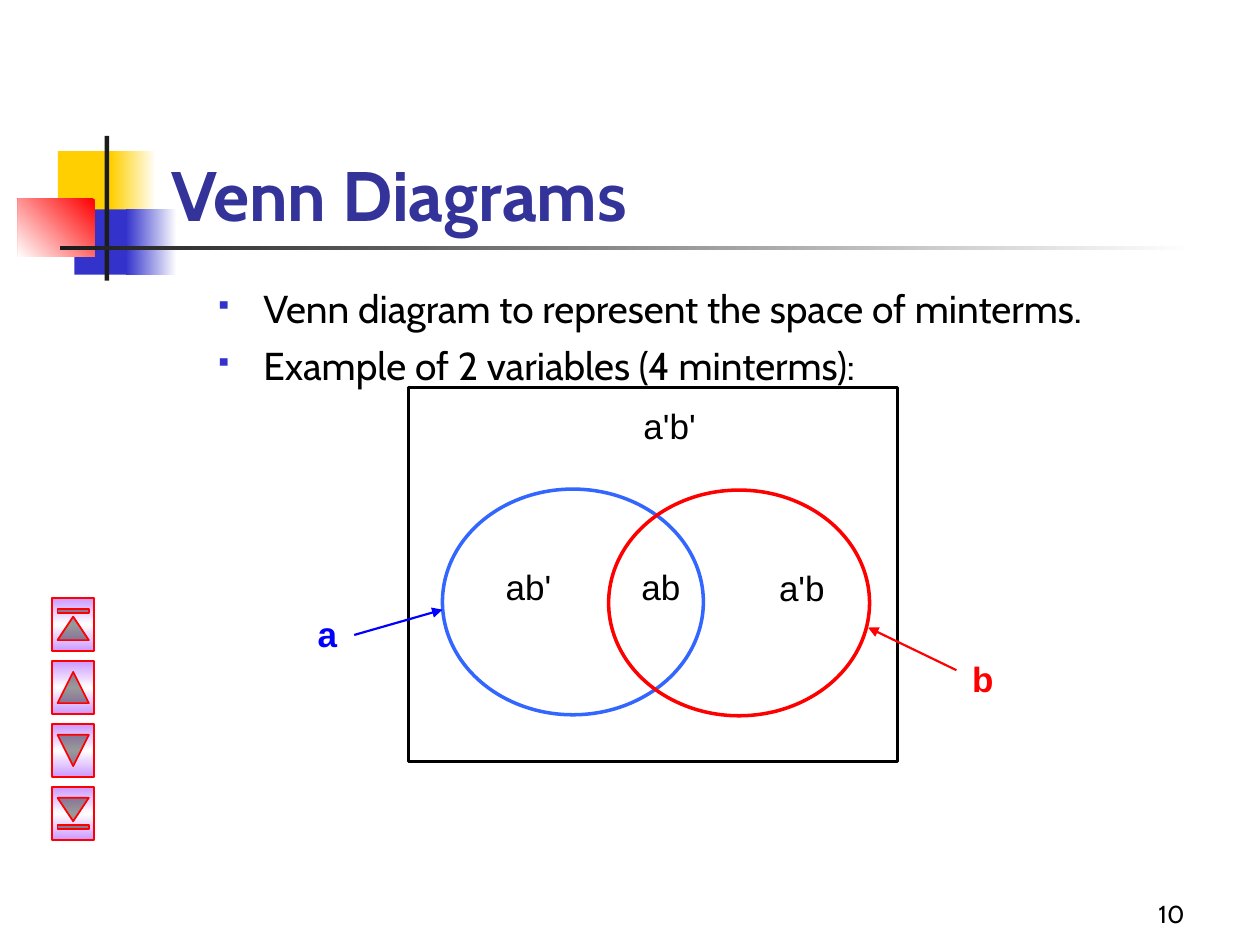
import pptx
import pptx.util
import pptx.dml.color
import pptx.enum.shapes
import pptx.enum.text
import pptx.oxml
import pptx.oxml.ns
from lxml import etree

Cm = pptx.util.Cm
Pt = pptx.util.Pt
RGB = pptx.dml.color.RGBColor
Kind = pptx.enum.shapes.MSO_SHAPE
Anchor = pptx.enum.text.MSO_ANCHOR
Align = pptx.enum.text.PP_ALIGN
qn = pptx.oxml.ns.qn

WHITE = RGB(0xFF, 0xFF, 0xFF)
BLACK = RGB(0, 0, 0)
INK = RGB(0x1C, 0x1C, 0x1C)
GOLD = RGB(0xFF, 0xCF, 0x01)
NAVY = RGB(0x33, 0x33, 0x99)
INDIGO = RGB(0x33, 0x33, 0xCC)
SKY = RGB(0x33, 0x66, 0xFF)
BLUE = RGB(0, 0, 0xFF)
RED = RGB(0xFF, 0, 0)
LILAC = RGB(0xCC, 0x99, 0xFF)


def place(box, left, top, width, height):
    return Cm(box[0] + left), Cm(box[1] + top), Cm(width), Cm(height)


def shade(shape, tints, angle):
    shape.fill.gradient()
    grad = shape.fill._xPr.find(qn("a:gradFill"))
    grad.set("rotWithShape", "0")
    for child in list(grad):
        grad.remove(child)
    stops = etree.SubElement(grad, qn("a:gsLst"))
    for i, tint in enumerate(tints):
        spot = 100000 * i // (len(tints) - 1)
        stop = etree.SubElement(stops, qn("a:gs"), pos=str(spot))
        etree.SubElement(stop, qn("a:srgbClr"), val=str(tint))
    etree.SubElement(grad, qn("a:lin"), ang=str(angle * 60000), scaled="0")


def draw(slide, kind, spot, fill=None, angle=0, line=None, weight=1):
    shape = slide.shapes.add_shape(kind, *spot)
    shape.shadow.inherit = False
    if fill is None:
        shape.fill.background()
    elif isinstance(fill, list):
        shade(shape, fill, angle)
    else:
        shape.fill.solid()
        shape.fill.fore_color.rgb = fill
    if line is None:
        shape.line.fill.background()
    else:
        shape.line.color.rgb = line
        shape.line.width = Pt(weight)
    return shape


def write(par, text, size, font, color, bold=False):
    run = par.add_run()
    run.text = text
    run.font.size = Pt(size)
    run.font.name = font
    run.font.bold = bold
    run.font.color.rgb = color


def frame(slide, spot, anchor=Anchor.TOP):
    body = slide.shapes.add_textbox(*spot).text_frame
    body.word_wrap = True
    body.vertical_anchor = anchor
    return body


def add_motif(slide, box):
    for spot, fill, angle in [
        ((0.81, 0.31, 1.22, 1.32), GOLD, 0),
        ((1.88, 0.31, 0.91, 1.32), [WHITE, GOLD], 180),
        ((1.14, 1.48, 1.17, 1.32), INDIGO, 0),
        ((2.18, 1.48, 1.02, 1.32), [WHITE, INDIGO], 180),
        ((0, 1.27, 1.55, 1.17), [RED, WHITE], 135),
        ((1.75, 0, 0.09, 2.92), INK, 0),
        ((0.86, 2.21, 22.86, 0.09), [WHITE, INK], 180),
    ]:
        draw(slide, Kind.RECTANGLE, place(box, *spot), fill, angle)


def add_title(slide, box):
    body = frame(slide, place(box, 0, 0, 21.64, 3.18), Anchor.BOTTOM)
    write(body.paragraphs[0], "Venn Diagrams", 40, "Cabin", NAVY, True)


def add_points(slide, box):
    body = frame(slide, place(box, 0, 0, 20.8, 2.74))
    for i, text in enumerate([
        "Venn diagram to represent the space of minterms.",
        "Example of 2 variables (4 minterms):",
    ]):
        par = body.add_paragraph() if i else body.paragraphs[0]
        props = par._p.get_or_add_pPr()
        props.set("marL", str(Cm(0.97)))
        props.set("indent", str(-Cm(0.97)))
        tint = etree.SubElement(props, qn("a:buClr"))
        etree.SubElement(tint, qn("a:srgbClr"), val=str(INDIGO))
        etree.SubElement(props, qn("a:buSzPct"), val="60000")
        etree.SubElement(props, qn("a:buChar"), char="▪")
        par.space_before = Pt(6 if i else 0)
        write(par, text, 22.2, "Cabin", BLACK)


def add_arrow(slide, box, start, end, color):
    points = [Cm(box[i] + point[i]) for point in (start, end) for i in (0, 1)]
    arrow = slide.shapes.add_connector(
        pptx.enum.shapes.MSO_CONNECTOR.STRAIGHT, *points)
    arrow.line.color.rgb = color
    arrow.line.width = Pt(1.25)
    etree.SubElement(arrow.line._get_or_add_ln(), qn("a:tailEnd"), type="triangle")
    etree.SubElement(arrow._element.spPr, qn("a:effectLst"))


def add_venn(slide, box):
    draw(slide, Kind.RECTANGLE, place(box, 0, 0, 9.86, 7.54), line=BLACK, weight=1.75)
    for left, top, color in [(0.69, 2.04, SKY), (4.04, 2.06, RED)]:
        draw(slide, Kind.OVAL, place(box, left, top, 5.26, 4.55), line=color, weight=2)
    for text, left, top, width, color in [
        ("ab'", 1.32, 3.46, 2.21, BLACK),
        ("a'b", 6.83, 3.48, 2.21, BLACK),
        ("a'b'", 3.91, 0.21, 2.72, BLACK),
        ("ab", 3.99, 3.46, 2.21, BLACK),
        ("a", -2.52, 4.4, 1.78, BLUE),
        ("b", 10.62, 5.31, 1.93, RED),
    ]:
        par = frame(slide, place(box, left, top, width, 1.8)).paragraphs[0]
        par.alignment = Align.CENTER
        write(par, text, 20, "Arial", color, color != BLACK)
    add_arrow(slide, box, (-1.09, 4.98), (0.69, 4.47), BLUE)
    add_arrow(slide, box, (11.05, 5.69), (9.27, 4.83), RED)


def add_keys(slide, box):
    for i, kind in enumerate([
        Kind.ACTION_BUTTON_BEGINNING,
        Kind.ACTION_BUTTON_BACK_OR_PREVIOUS,
        Kind.ACTION_BUTTON_FORWARD_OR_NEXT,
        Kind.ACTION_BUTTON_END,
    ]):
        spot = place(box, 0, 1.27 * i, 1.07, 0.84)
        key = draw(slide, kind, spot, [LILAC, WHITE, LILAC], 90, RED)
        key.rotation = 90


def add_number(slide, box):
    body = frame(slide, place(box, 0, 0, 5.28, 1.27), Anchor.BOTTOM)
    par = body.paragraphs[0]
    par.alignment = Align.RIGHT
    write(par, "10", 14, "Cabin", BLACK)


def main():
    deck = pptx.Presentation()
    deck.slide_width = Cm(25.4)
    deck.slide_height = Cm(19.05)
    slide = deck.slides.add_slide(deck.slide_layouts[6])
    add_motif(slide, (0.36, 2.74))
    add_title(slide, (3.2, 1.7))
    add_points(slide, (4.09, 5.61))
    add_venn(slide, (8.23, 7.82))
    add_keys(slide, (0.94, 12.17))
    add_number(slide, (18.85, 17.58))
    deck.save("out.pptx")


if __name__ == "__main__":
    main()
